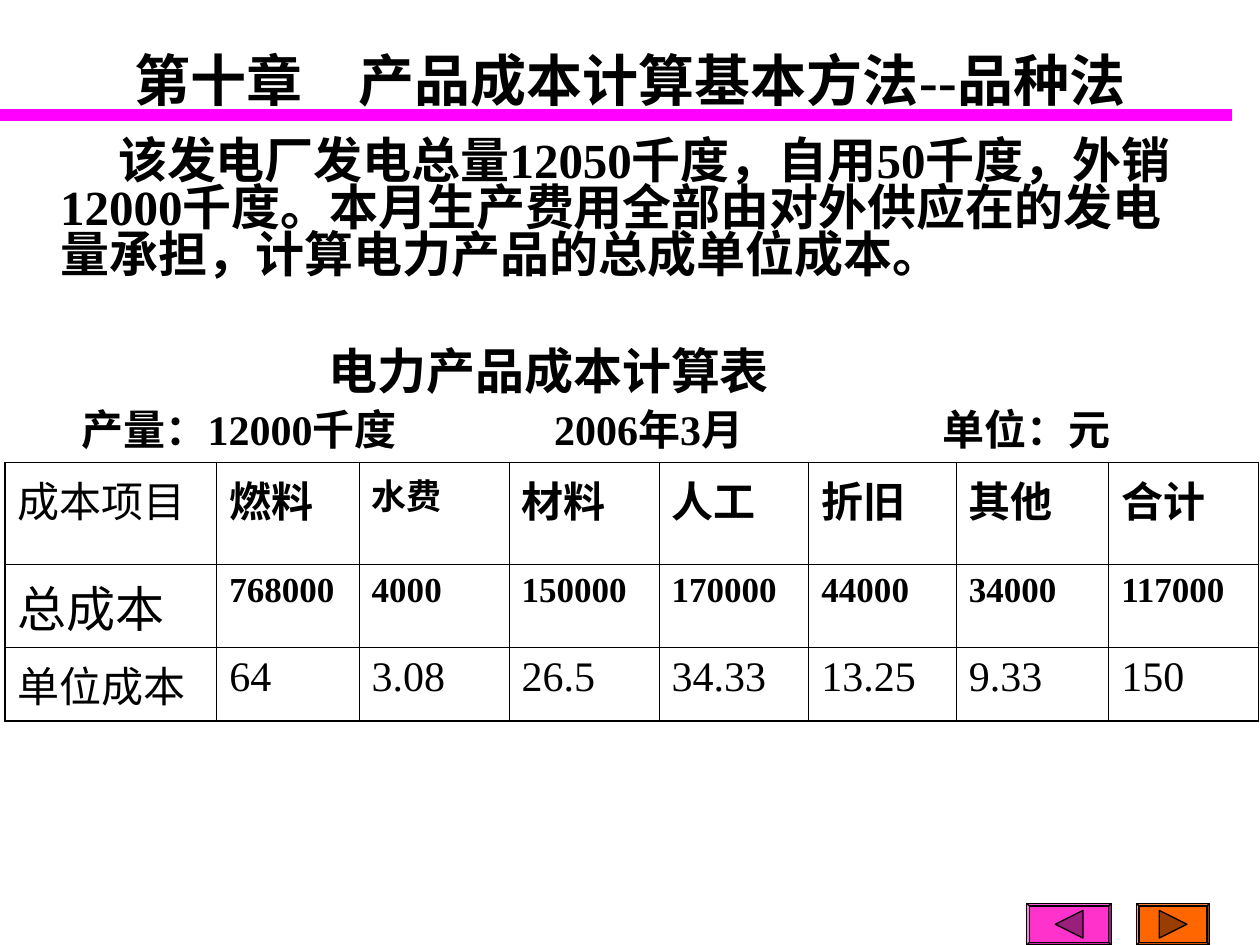
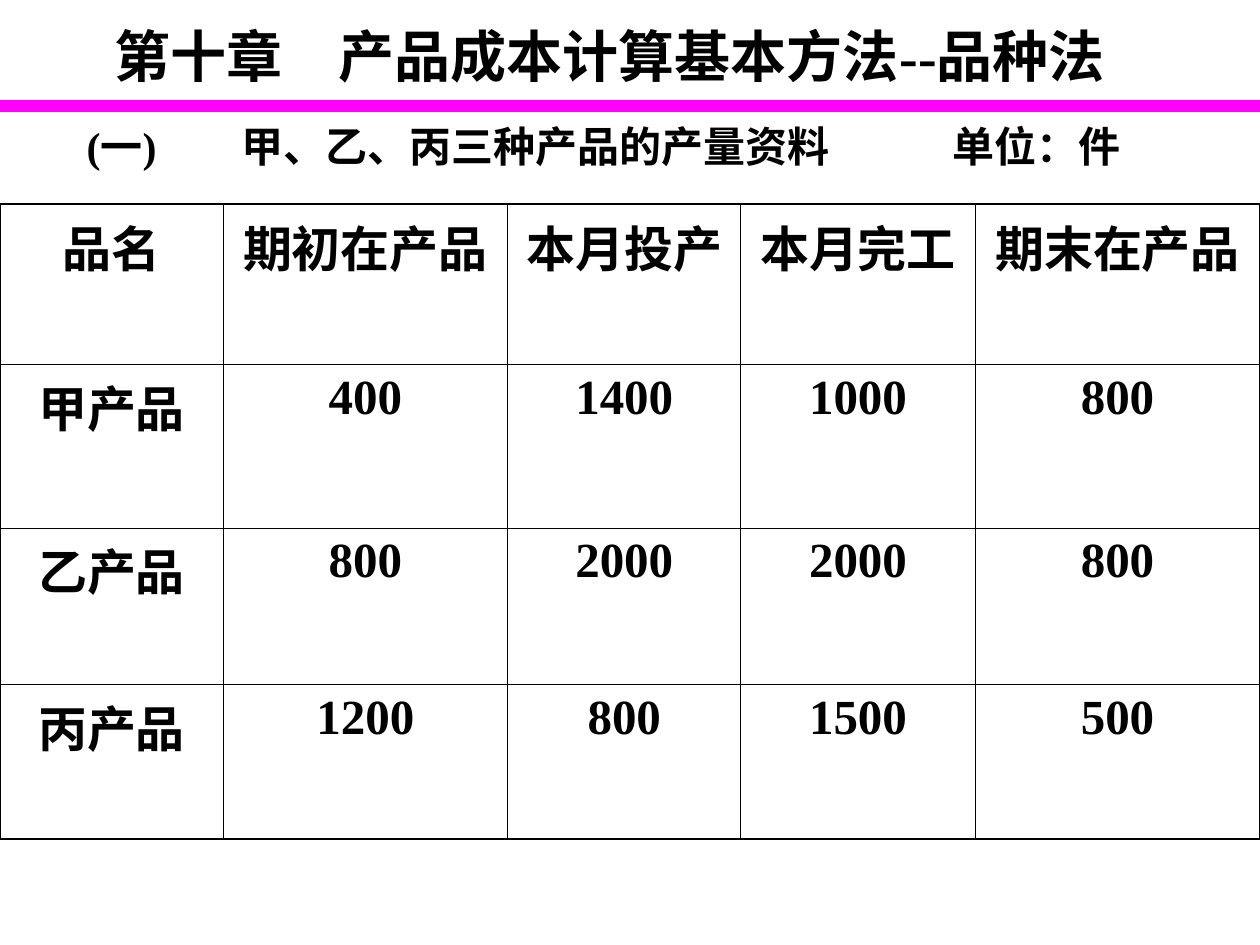
from lxml import etree
from pptx import Presentation
from pptx.dml.color import RGBColor
from pptx.enum.shapes import MSO_CONNECTOR, MSO_SHAPE
from pptx.enum.text import MSO_ANCHOR, MSO_AUTO_SIZE, PP_ALIGN
from pptx.oxml.ns import qn
from pptx.util import Inches, Pt

STRAIGHT, BEVEL = MSO_CONNECTOR.STRAIGHT, MSO_SHAPE.BEVEL
MIDDLE, NO_FIT = MSO_ANCHOR.MIDDLE, MSO_AUTO_SIZE.NONE
CENTER, LEFT = PP_ALIGN.CENTER, PP_ALIGN.LEFT

FONT = "Times New Roman"
TITLE = "第十章　产品成本计算基本方法--品种法"
COLORS = {
    "text": "000000", "paper": "FFFFFF", "rule": "FF00FF",
    "next": "FF6600", "next_mark": "993D00",
    "back": "FF33CC", "back_mark": "991F7A",
}
THICK, THIN = 1.08, 0.45


def color(name):
    return RGBColor.from_string(COLORS[name])


def style_para(para, size, bold=True, align=LEFT):
    para.alignment = align
    for span in para.runs:
        span.font.name = FONT
        span.font.size = Pt(size)
        span.font.bold = bold
        span.font.color.rgb = color("text")


def set_indent(para, margin, first):
    props = para._p.get_or_add_pPr()
    props.set("marL", str(Inches(margin)))
    props.set("indent", str(Inches(first)))


# Shared frame: background, title and rule
def add_page(deck, title_left, title_top, rule_top, rule_width):
    page = deck.slides.add_slide(deck.slide_layouts[5])
    page.background.fill.solid()
    page.background.fill.fore_color.rgb = color("paper")
    title = page.shapes.title
    title.left, title.top = Inches(title_left), Inches(title_top)
    title.width, title.height = Inches(8.5), Inches(1.25)
    frame = title.text_frame
    frame.text = TITLE
    frame.vertical_anchor = MIDDLE
    frame.auto_size = NO_FIT
    style_para(frame.paragraphs[0], 32, align=CENTER)

    rule = page.shapes.add_connector(
        STRAIGHT, 0, Inches(rule_top), Inches(rule_width), Inches(rule_top))
    rule.line.color.rgb = color("rule")
    rule.line.width = Pt(7)
    etree.SubElement(rule._element.spPr, qn("a:effectLst"))
    return page


def add_text_box(page, left, top, width, height):
    box = page.shapes.add_textbox(Inches(left), Inches(top), Inches(width), Inches(height))
    box.text_frame.word_wrap = True
    return box.text_frame


# Problem text followed by the heading of the table
def add_problem(page, left, top, width, height, problem, heading):
    frame = add_text_box(page, left, top, width, height)
    para = frame.paragraphs[0]
    para.text = problem
    set_indent(para, 0.38, 0.46)
    heading_para = frame.add_paragraph()
    heading_para.text = heading
    set_indent(heading_para, 0, 2.51)
    heading_para.space_before = Pt(40)
    for para in frame.paragraphs:
        para.line_spacing = 0.8
        style_para(para, 28)


# Caption line above a table: fields as (offset, width, text)
def add_caption(page, left, top, fields):
    for offset, width, text in fields:
        frame = add_text_box(page, left + offset, top, width, 0.5)
        frame.text = text
        style_para(frame.paragraphs[0], 24)


# Tables: thick outline, thin inner lines
def add_border(cell, side, width):
    line = etree.SubElement(cell._tc.get_or_add_tcPr(), qn("a:ln" + side), w=str(Pt(width)))
    fill = etree.SubElement(line, qn("a:solidFill"))
    etree.SubElement(fill, qn("a:srgbClr"), val=COLORS["text"])


def add_grid(page, left, top, widths, heights, values, cell_style, align):
    """cell_style(row, column) gives the size and weight of a cell's text."""
    table = page.shapes.add_table(
        len(heights), len(widths), Inches(left), Inches(top),
        Inches(sum(widths)), Inches(sum(heights))).table
    table.first_row = table.horz_banding = False
    for column, width in zip(table.columns, widths):
        column.width = Inches(width)
    for row, height in zip(table.rows, heights):
        row.height = Inches(height)
    last_row, last_column = len(heights) - 1, len(widths) - 1
    for r, row_values in enumerate(values):
        for c, value in enumerate(row_values):
            cell = table.cell(r, c)
            cell.text_frame.text = value
            size, bold = cell_style(r, c)
            style_para(cell.text_frame.paragraphs[0], size, bold, align)
            outer = {"L": c == 0, "R": c == last_column, "T": r == 0, "B": r == last_row}
            for side, is_outer in outer.items():
                add_border(cell, side, THICK if is_outer else THIN)
            cell.fill.background()


# Navigation button: bevelled plate with a triangle
def paint(shape, fill):
    shape.shadow.inherit = False
    shape.fill.solid()
    shape.fill.fore_color.rgb = color(fill)
    shape.line.color.rgb = color("text")
    shape.line.width = Pt(0.75)


def add_button(page, left, top, width, height, name, direction):
    plate = page.shapes.add_shape(
        BEVEL, Inches(left), Inches(top), Inches(width), Inches(height))
    plate.adjustments[0] = 0.06
    paint(plate, name)
    middle_x, middle_y = left + width / 2, top + height / 2
    reach = 0.11 * direction
    base = Inches(middle_x - reach)
    builder = page.shapes.build_freeform(base, Inches(middle_y - 0.11))
    builder.add_line_segments([
        (Inches(middle_x + reach), Inches(middle_y)),
        (base, Inches(middle_y + 0.11))])
    paint(builder.convert_to_shape(), name + "_mark")


def build_cost_page(deck):
    page = add_page(deck, 0.75, 0, 0.91, 9.78)
    add_problem(
        page, 0, 1.07, 9.56, 2.1,
        "该发电厂发电总量12050千度，自用50千度，外销12000千度。本月生产费用全部由"
        "对外供应在的发电量承担，计算电力产品的总成单位成本。",
        "电力产品成本计算表")
    add_caption(page, 0.55, 3.15, [
        (0, 3.4, "产量：12000千度"), (3.75, 2.4, "2006年3月"), (6.83, 2, "单位：元")])

    def cost_style(row, column):
        if row == 1:
            return (20, True) if column else (28, False)
        return (20 if (row, column) == (0, 2) else 24), row == 0 and column > 0

    add_grid(page, 0.04, 3.67, [1.68, 1.13, 1.19, 1.19, 1.19, 1.17, 1.21, 1.19],
             [0.81, 0.66, 0.58], [
        ["成本项目", "燃料", "水费", "材料", "人工", "折旧", "其他", "合计"],
        ["总成本", "768000", "4000", "150000", "170000", "44000", "34000", "117000"],
        ["单位成本", "64", "3.08", "26.5", "34.33", "13.25", "9.33", "150"],
    ], cost_style, LEFT)
    add_button(page, 9.02, 7.17, 0.58, 0.33, "next", 1)
    add_button(page, 8.15, 7.17, 0.67, 0.33, "back", -1)


def build_output_page(deck):
    page = add_page(deck, 0.59, -0.19, 0.84, 10)
    add_caption(page, 0.59, 0.91, [
        (0, 1.2, "(一)"), (1.23, 5.4, "甲、乙、丙三种产品的产量资料"), (6.87, 2, "单位：件")])
    add_grid(page, 0, 1.62, [1.77, 2.26, 1.85, 1.86, 2.26], [1.27, 1.3, 1.24, 1.23], [
        ["品名", "期初在产品", "本月投产", "本月完工", "期末在产品"],
        ["甲产品", "400", "1400", "1000", "800"],
        ["乙产品", "800", "2000", "2000", "800"],
        ["丙产品", "1200", "800", "1500", "500"],
    ], lambda row, column: (28, True), CENTER)


def main():
    deck = Presentation()
    deck.slide_width, deck.slide_height = Inches(10), Inches(7.5)
    build_cost_page(deck)
    build_output_page(deck)
    deck.save("out.pptx")


if __name__ == "__main__":
    main()
